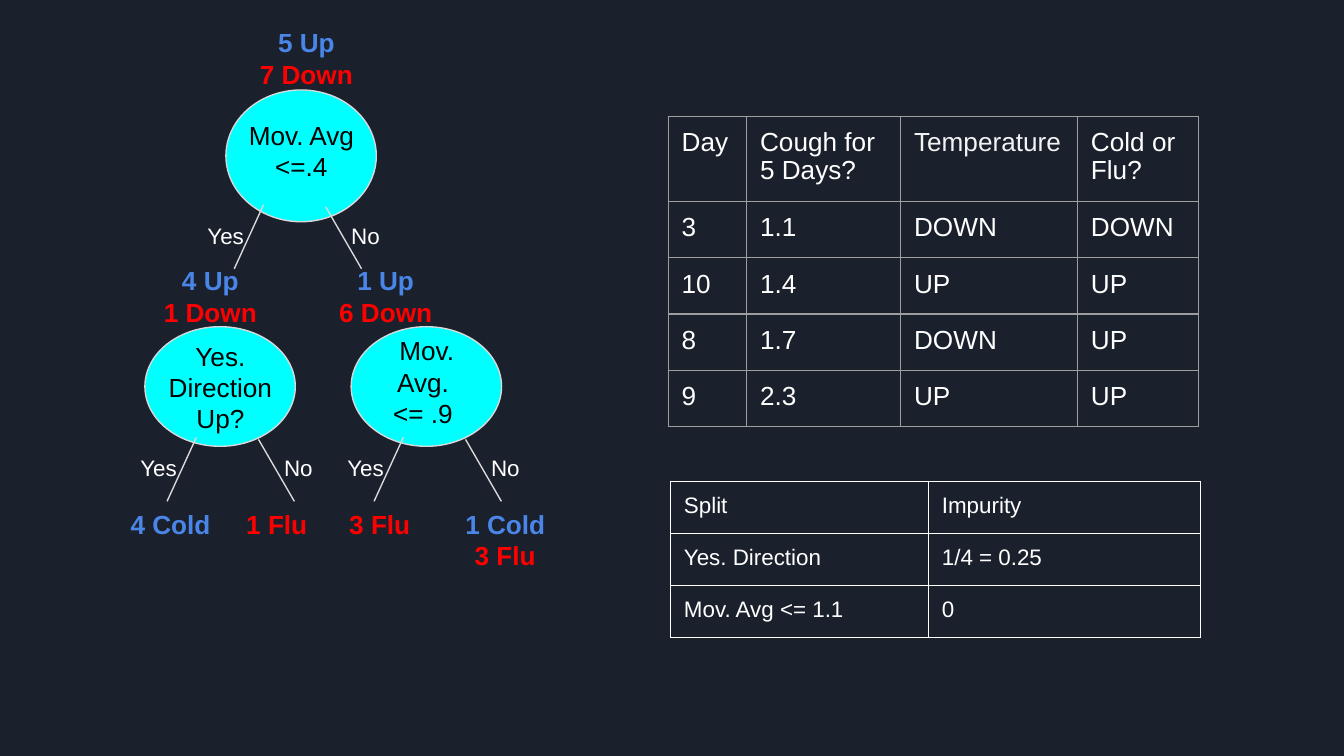
from lxml.etree import SubElement
from pptx import Presentation
from pptx.dml.color import RGBColor
from pptx.enum.shapes import MSO_CONNECTOR, MSO_SHAPE
from pptx.enum.text import MSO_ANCHOR, PP_ALIGN
from pptx.oxml import parse_xml
from pptx.oxml.ns import nsdecls, qn
from pptx.util import Pt

DARK = RGBColor(0x1B, 0x21, 0x2C)
CYAN = RGBColor(0x00, 0xFF, 0xFF)
PALE = RGBColor(0xD9, 0xD9, 0xD9)
GREY = RGBColor(0x9E, 0x9E, 0x9E)
LIGHT = RGBColor(0xF3, 0xF3, 0xF3)
WHITE = RGBColor(0xFF, 0xFF, 0xFF)
BLACK = RGBColor(0, 0, 0)
BLUE = RGBColor(0x4A, 0x86, 0xE8)
RED = RGBColor(0xFF, 0, 0)


class Board:
    font = "Arial"
    inset = Pt(7.2)
    stroke = Pt(0.75)

    def __init__(self, slide):
        self.slide = slide
        slide.background.fill.solid()
        slide.background.fill.fore_color.rgb = DARK

    def style(self, para, size, color, bold=False):
        for run in para.runs:
            run.font.name = self.font
            run.font.size = Pt(size)
            run.font.bold = bold
            run.font.color.rgb = color

    def pad(self, item):
        item.margin_left = item.margin_right = self.inset
        item.margin_top = item.margin_bottom = self.inset

    def text(self, x, y, w, h, lines, size=14, bold=False, anchor=MSO_ANCHOR.TOP):
        """Add centred text; lines holds (words, color) pairs."""
        box = self.slide.shapes.add_textbox(Pt(x), Pt(y), Pt(w), Pt(h))
        frame = box.text_frame
        self.pad(frame)
        frame.word_wrap = True
        frame.vertical_anchor = anchor
        frame.text = "\n".join(words for words, _ in lines)
        for para, (_, color) in zip(frame.paragraphs, lines):
            para.alignment = PP_ALIGN.CENTER
            self.style(para, size, color, bold)

    def node(self, x, y, h, lines, anchor=MSO_ANCHOR.MIDDLE):
        oval = self.slide.shapes.add_shape(
            MSO_SHAPE.OVAL, Pt(x), Pt(y), Pt(80.6), Pt(h))
        oval.shadow.inherit = False
        oval.fill.solid()
        oval.fill.fore_color.rgb = CYAN
        oval.line.color.rgb = PALE
        oval.line.width = self.stroke
        self.text(x + 3.4, y, 74.2, h * 0.92,
                  [(line, BLACK) for line in lines], anchor=anchor)

    def count(self, x, y, w, lines):
        self.text(x, y, w, 40.3, lines, bold=True)

    def line(self, x1, y1, x2, y2):
        edge = self.slide.shapes.add_connector(
            MSO_CONNECTOR.STRAIGHT, Pt(x1), Pt(y1), Pt(x2), Pt(y2))
        edge.line.color.rgb = PALE
        edge.line.width = self.stroke
        SubElement(edge._element.spPr, qn("a:effectLst"))

    def fork(self, x, y):
        """Add the Yes and No branches, with the Yes label at x, y."""
        self.line(x + 44, y - 1.9, x + 28.3, y + 32.4)
        self.line(x + 77.3, y - 0.8, x + 96.5, y + 32.4)
        for word, shift in (("Yes", 0), ("No", 74.9)):
            self.text(x + shift, y, 47.5, 26.6, [(word, WHITE)], size=12)

    def border(self, cell, color):
        props = cell._tc.get_or_add_tcPr()
        for spot, side in enumerate(("lnL", "lnR", "lnT", "lnB")):
            props.insert(spot, parse_xml(
                f'<a:{side} {nsdecls("a")} w="{self.stroke}"><a:solidFill>'
                f'<a:srgbClr val="{color}"/></a:solidFill></a:{side}>'))

    def table(self, x, y, cols, rows, data, size, edge):
        grid = self.slide.shapes.add_table(
            len(rows), len(cols), Pt(x), Pt(y), Pt(sum(cols)), Pt(sum(rows))).table
        grid.first_row = grid.horz_banding = False
        for col, width in zip(grid.columns, cols):
            col.width = Pt(width)
        for row, height, words in zip(grid.rows, rows, data):
            row.height = Pt(height)
            for cell, word in zip(row.cells, words):
                self.pad(cell)
                cell.fill.background()
                self.border(cell, edge)
                para = cell.text_frame.paragraphs[0]
                para.text = word
                para.line_spacing = 0.93
                self.style(para, size, LIGHT if word == "Temperature" else WHITE)


def main():
    deck = Presentation()
    deck.slide_width, deck.slide_height = Pt(720), Pt(405)
    board = Board(deck.slides.add_slide(deck.slide_layouts[6]))

    board.node(121, 48.2, 70.6, ["Mov. Avg <=.4"])
    board.node(77.6, 175, 64.1, ["Yes. Direction Up?"], MSO_ANCHOR.TOP)
    board.node(188.1, 175, 64.1, ["Mov. Avg. ", "<= .9 "])

    for x, y in ((97.2, 111.6), (61.2, 236.2), (172.1, 236.2)):
        board.fork(x, y)

    for x, y, w, up, down in (
            (129.6, 7.2, 69.1, "5 Up", "7 Down"),
            (74.2, 134.6, 77, "4 Up", "1 Down"),
            (172.1, 134.6, 69.1, "1 Up", "6 Down")):
        board.count(x, y, w, [(up, BLUE), (down, RED)])

    for x, lines in (
            (62.6, [("4 Cold", BLUE)]),
            (119.5, [("1 Flu", RED)]),
            (174.7, [("3 Flu", RED)]),
            (241.9, [("1 Cold", BLUE), ("3 Flu", RED)])):
        board.count(x, 265, 57.6, lines)

    days = [
        ("Day", "Cough for 5 Days?", "Temperature", "Cold or Flu?"),
        ("3", "1.1", "DOWN", "DOWN"),
        ("10", "1.4", "UP", "UP"),
        ("8", "1.7", "DOWN", "UP"),
        ("9", "2.3", "UP", "UP"),
    ]
    board.table(358, 62.4, [42, 82.5, 94.8, 64.8], [45.6] + [30.1] * 4,
                days, 14, GREY)
    splits = [
        ("Split", "Impurity"),
        ("Yes. Direction", "1/4 = 0.25"),
        ("Mov. Avg <= 1.1", "0"),
    ]
    board.table(359.2, 257.8, [138.2, 145.6], [27.9] * 3, splits, 12, WHITE)

    deck.save("out.pptx")


if __name__ == "__main__":
    main()
